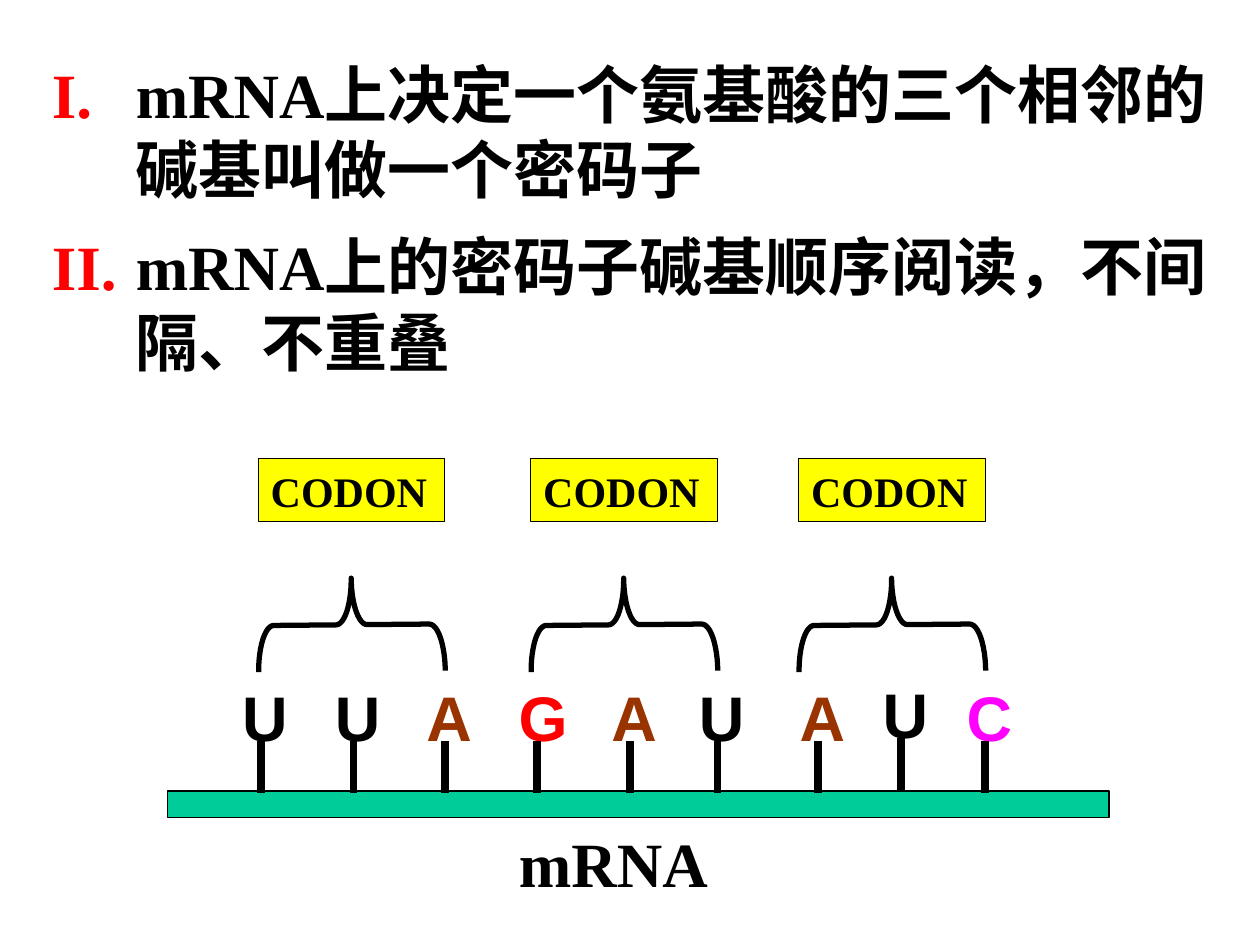
from dataclasses import dataclass

from lxml.etree import SubElement
from pptx import Presentation
from pptx.dml.color import RGBColor as RGB
from pptx.enum.shapes import MSO_CONNECTOR as CONN, MSO_SHAPE as SHAPE
from pptx.enum.text import MSO_ANCHOR as ANCHOR
from pptx.oxml.ns import qn
from pptx.util import Pt


@dataclass(frozen=True)
class Theme:
    ink: RGB = RGB(0, 0, 0)
    number: RGB = RGB(0xFF, 0, 0)
    strand: RGB = RGB(0, 0xCC, 0x99)
    label: RGB = RGB(0xFF, 0xFF, 0)
    adenine: RGB = RGB(0x99, 0x33, 0)
    guanine: RGB = RGB(0xFF, 0, 0)
    cytosine: RGB = RGB(0xFF, 0, 0xFF)
    serif: str = "Times New Roman"
    sans: str = "Arial"
    large: int = 36
    small: int = 24


THEME = Theme()
BASE_COLORS = {"A": THEME.adenine, "G": THEME.guanine,
               "C": THEME.cytosine, "U": THEME.ink}
POINTS = [
    "mRNA上决定一个氨基酸的三个相邻的碱基叫做一个密码子",
    "mRNA上的密码子碱基顺序阅读，不间隔、不重叠",
]
# Base letter, stem centre, rise above the common level
BASES = [("U", 149, 0), ("U", 202, 0), ("A", 254.3, 0),
         ("G", 307, 0), ("A", 360, 0), ("U", 410, 0),
         ("A", 467.5, 0), ("U", 515, 1.7), ("C", 563, 0)]
CODON_LEFTS = [147.6, 303.3, 456.4]
CODON_WIDTH = 106.6


def box(x, y, w, h):
    return [Pt(v) for v in (x, y, w, h)]


def set_font(p, **formats):
    color = formats.pop("color", THEME.ink)
    formats = {"name": THEME.serif, "size": Pt(THEME.large), "bold": True} | formats
    for r in p.runs:
        for key, value in formats.items():
            setattr(r.font, key, value)
        r.font.color.rgb = color


def add_text(s, text, x, y, w, h, **formats):
    tf = s.shapes.add_textbox(*box(x, y, w, h)).text_frame
    tf.word_wrap = True
    tf.vertical_anchor = ANCHOR.BOTTOM
    tf.text = text
    set_font(tf.paragraphs[0], **formats)


def add_bar(s, fill, x, y, w, h):
    sp = s.shapes.add_shape(SHAPE.RECTANGLE, *box(x, y, w, h))
    sp.shadow.inherit = False
    sp.fill.solid()
    sp.fill.fore_color.rgb = fill
    sp.line.color.rgb = THEME.ink
    sp.line.width = Pt(0.75)


def add_roman_number(p):
    pPr = p._p.get_or_add_pPr()
    pPr.set("marL", str(Pt(48)))
    pPr.set("indent", str(Pt(-48)))
    color = SubElement(pPr, qn("a:buClr"))
    SubElement(color, qn("a:srgbClr"), val=str(THEME.number))
    SubElement(pPr, qn("a:buFont"), typeface=THEME.serif)
    SubElement(pPr, qn("a:buAutoNum"), type="romanUcPeriod")


def add_points(s):
    tf = s.shapes.add_textbox(*box(22.5, 28, 680, 192)).text_frame
    tf.word_wrap = True
    for i, text in enumerate(POINTS):
        p = tf.paragraphs[0] if i == 0 else tf.add_paragraph()
        p.text = text
        add_roman_number(p)
        p.space_before = Pt(6 if i else 0)
        p.space_after = Pt(6)
        set_font(p)


def add_base(s, letter, x, rise):
    """Letter with the stem that ties it to the strand."""
    add_text(s, letter, x - 17.7, 383.8 - rise, 47.5, 50.4,
             name=THEME.sans, color=BASE_COLORS[letter])
    top = 423.7 - rise
    stem = s.shapes.add_connector(CONN.STRAIGHT, Pt(x), Pt(top), Pt(x), Pt(top + 29.7))
    stem.line.color.rgb = THEME.ink
    stem.line.width = Pt(4.5)
    SubElement(stem._element.spPr, qn("a:effectLst"))


def add_codon(s, x):
    """Yellow label above the brace that spans three bases."""
    height = CODON_WIDTH / 2
    brace = s.shapes.add_shape(
        SHAPE.LEFT_BRACE, *box(x + height / 2, 303.7, height, CODON_WIDTH))
    brace.adjustments[0] = 0.1667
    brace.rotation = 89.5
    brace.shadow.inherit = False
    brace.fill.background()
    brace.line.color.rgb = THEME.ink
    brace.line.width = Pt(3)
    place = (x, 262.1, CODON_WIDTH, 36)
    add_bar(s, THEME.label, *place)
    add_text(s, "CODON", *place, size=Pt(THEME.small))


def main():
    prs = Presentation()
    prs.slide_width, prs.slide_height = Pt(720), Pt(540)
    s = prs.slides.add_slide(prs.slide_layouts[6])
    add_points(s)
    add_bar(s, THEME.strand, 95.8, 452, 538, 15)
    for base in BASES:
        add_base(s, *base)
    add_text(s, "mRNA", 289.5, 467.3, 125.3, 50.4)
    for x in CODON_LEFTS:
        add_codon(s, x)
    prs.save("out.pptx")


if __name__ == "__main__":
    main()
